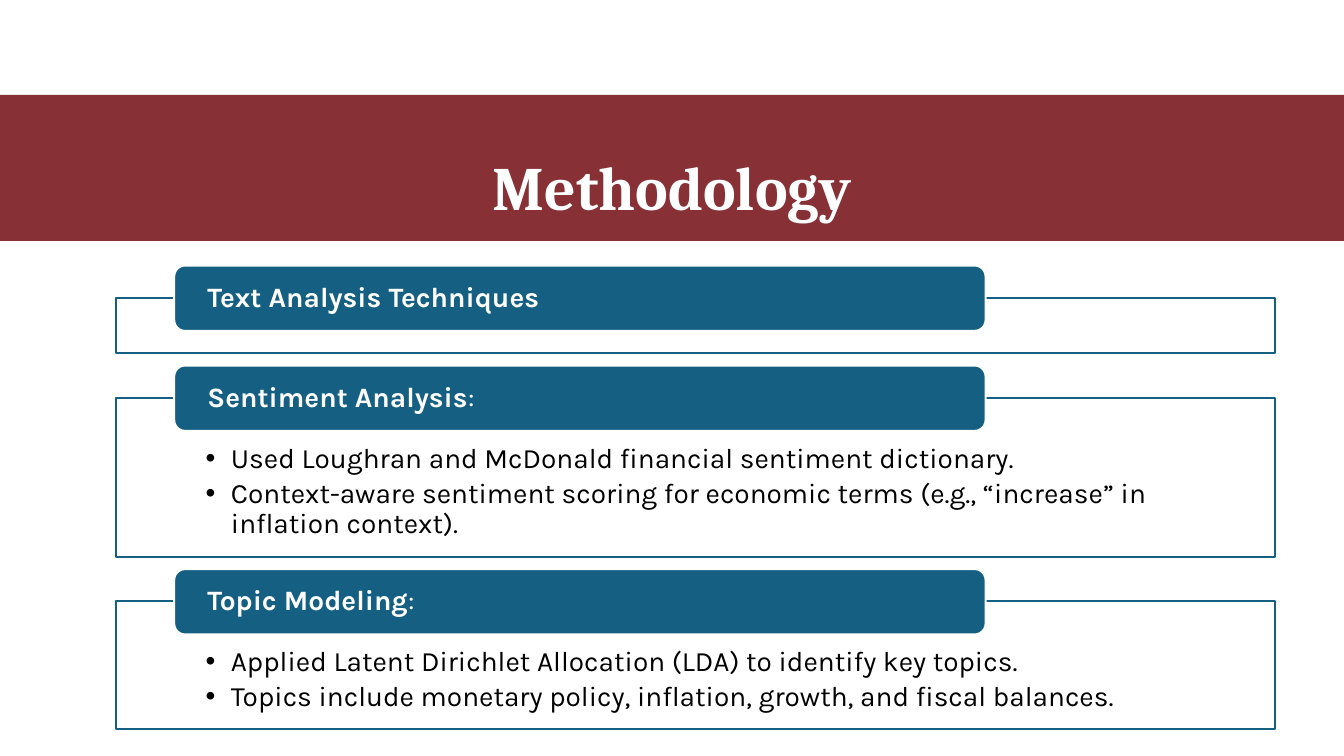
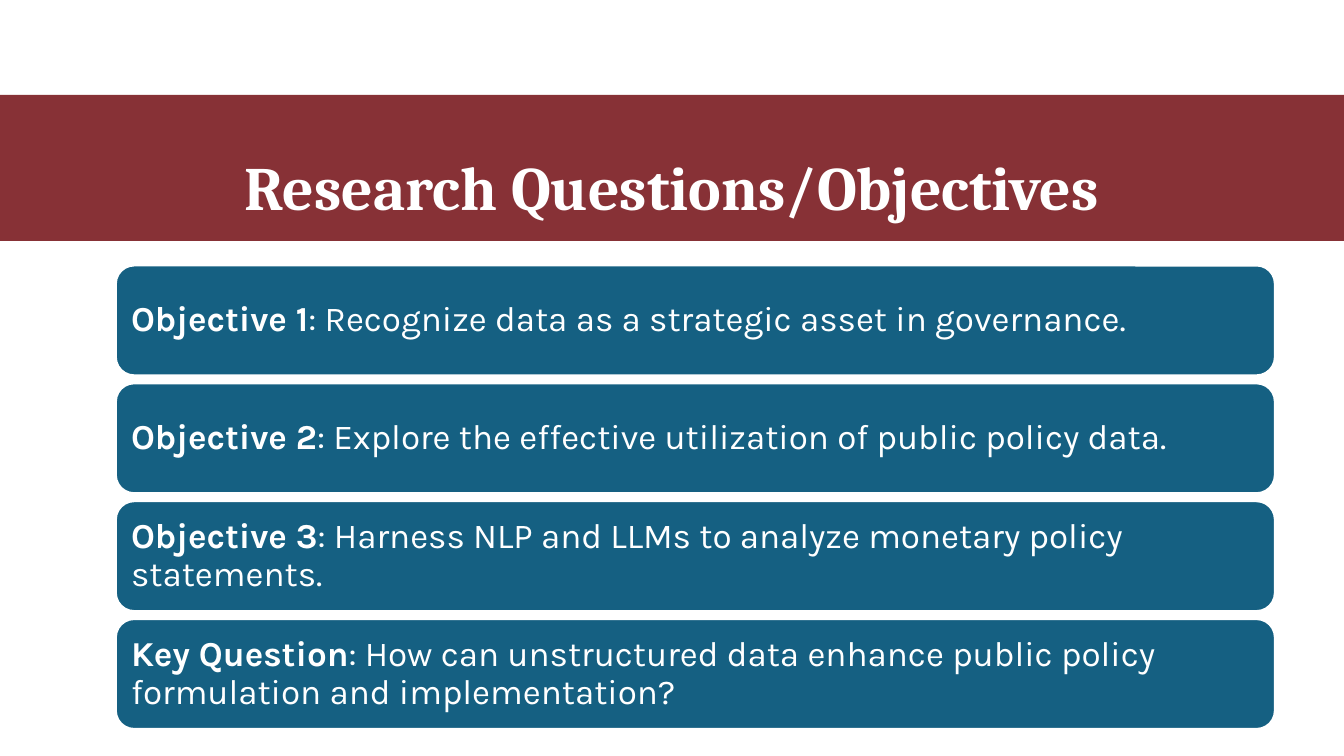
import pptx
import pptx.dml.color
import pptx.enum.shapes
import pptx.enum.text
import pptx.oxml.ns
import pptx.util
from lxml import etree

Cm, Pt = pptx.util.Cm, pptx.util.Pt
SHAPES = pptx.enum.shapes.MSO_SHAPE
ANCHORS = pptx.enum.text.MSO_ANCHOR
ALIGNMENTS = pptx.enum.text.PP_ALIGN

COLORS = {"band": "873136", "block": "156082", "paper": "FFFFFF", "ink": "000000"}

# Each section: heading runs as (text, bold), bullets, panel height in cm
SECTIONS = [
    ([("Text Analysis Techniques", True)], [], 1.4),
    ([("Sentiment Analysis", True), (":", False)], [
        "Used Loughran and McDonald financial sentiment dictionary.",
        "Context-aware sentiment scoring for economic terms "
        "(e.g., “increase” in inflation context).",
    ], 4.01),
    ([("Topic Modeling", True), (":", False)], [
        "Applied Latent Dirichlet Allocation (LDA) to identify key topics.",
        "Topics include monetary policy, inflation, growth, and fiscal balances.",
    ], 3.23),
]
OBJECTIVES = [
    ("Objective 1", ": Recognize data as a strategic asset in governance."),
    ("Objective 2", ": Explore the effective utilization of public policy data."),
    ("Objective 3", ": Harness NLP and LLMs to analyze monetary policy statements."),
    ("Key Question", ": How can unstructured data enhance public policy "
                     "formulation and implementation?"),
]

SLIDE_WIDTH, SLIDE_HEIGHT = 33.87, 19.05
CONTENT_LEFT, CONTENT_TOP, CONTENT_WIDTH = 2.92, 6.69, 29.21
HEADING_LEFT, HEADING_WIDTH, HEADING_HEIGHT = 4.39, 20.45, 1.65
HEADING_RISE, SECTION_GAP = 0.81, 0.31
CARD_HEIGHT, CARD_GAP = 2.77, 0.2
BULLET_INDENT = Cm(0.64)

TITLE_STYLE = {"name": "Cambria", "size": Pt(44)}
SECTION_STYLE = {"name": "Karla", "size": Pt(20)}
CARD_STYLE = {"name": "Karla", "size": Pt(25)}


def rgb(color):
    return pptx.dml.color.RGBColor.from_string(COLORS[color])


def add_box(slide, kind, box, fill, line=None):
    shape = slide.shapes.add_shape(kind, *map(Cm, box))
    shape.shadow.inherit = False
    shape.fill.solid()
    shape.fill.fore_color.rgb = rgb(fill)
    if line:
        shape.line.color.rgb = rgb(line)
        shape.line.width = Pt(1.5)
    else:
        shape.line.fill.background()
    return shape


def add_bullet(paragraph):
    properties = paragraph._p.get_or_add_pPr()
    properties.set("marL", str(BULLET_INDENT))
    properties.set("indent", str(-BULLET_INDENT))
    etree.SubElement(properties, pptx.oxml.ns.qn("a:buFont"), typeface="Arial")
    etree.SubElement(properties, pptx.oxml.ns.qn("a:buChar"), char="•")


def write(shape, paragraphs, style, margins, color="paper", anchor=ANCHORS.MIDDLE,
          alignment=ALIGNMENTS.LEFT, line_spacing=0.9, bulleted=False):
    """Fill a shape with paragraphs, each a list of (text, bold) runs."""
    frame = shape.text_frame
    frame.word_wrap = True
    frame.vertical_anchor = anchor
    for side, margin in zip(("left", "top", "right", "bottom"), margins):
        setattr(frame, f"margin_{side}", Cm(margin))
    for index, runs in enumerate(paragraphs):
        paragraph = frame.add_paragraph() if index else frame.paragraphs[0]
        paragraph.alignment = alignment
        paragraph.line_spacing = line_spacing
        if bulleted:
            paragraph.space_after = Pt(3.5)
            add_bullet(paragraph)
        for text, bold in runs:
            run = paragraph.add_run()
            run.text = text
            for attribute, value in {**style, "bold": bold}.items():
                setattr(run.font, attribute, value)
            run.font.color.rgb = rgb(color)


def add_titled_slide(presentation, title):
    slide = presentation.slides.add_slide(presentation.slide_layouts[6])
    band = add_box(slide, SHAPES.RECTANGLE, (0, 2.39, SLIDE_WIDTH, 3.68), "band")
    write(band, [[(title, True)]], TITLE_STYLE, (0.25, 0.13, 0.25, 0.13),
          alignment=ALIGNMENTS.CENTER, line_spacing=1.5)
    return slide


def add_sections(slide):
    top = CONTENT_TOP
    for heading, bullets, panel_height in SECTIONS:
        panel_top = top + HEADING_RISE
        panel = add_box(slide, SHAPES.RECTANGLE,
                        (CONTENT_LEFT, panel_top, CONTENT_WIDTH, panel_height),
                        "paper", "block")
        if bullets:
            write(panel, [[(bullet, False)] for bullet in bullets], SECTION_STYLE,
                  (2.26, 1.17, 2.26, 0.41), "ink", ANCHORS.TOP, bulleted=True)
        bar = add_box(slide, SHAPES.ROUNDED_RECTANGLE,
                      (HEADING_LEFT, top, HEADING_WIDTH, HEADING_HEIGHT),
                      "block", "paper")
        write(bar, [heading], SECTION_STYLE, (0.76, 0, 0.76, 0))
        top = panel_top + panel_height + SECTION_GAP


def add_objectives(slide):
    for index, (label, statement) in enumerate(OBJECTIVES):
        top = CONTENT_TOP + index * (CARD_HEIGHT + CARD_GAP)
        card = add_box(slide, SHAPES.ROUNDED_RECTANGLE,
                       (CONTENT_LEFT, top, CONTENT_WIDTH, CARD_HEIGHT),
                       "block", "paper")
        write(card, [[(label, True), (statement, False)]], CARD_STYLE, [0.25] * 4)


def main():
    presentation = pptx.Presentation()
    presentation.slide_width = Cm(SLIDE_WIDTH)
    presentation.slide_height = Cm(SLIDE_HEIGHT)
    add_sections(add_titled_slide(presentation, "Methodology"))
    add_objectives(add_titled_slide(presentation, "Research Questions/Objectives"))
    presentation.save("out.pptx")


if __name__ == "__main__":
    main()
